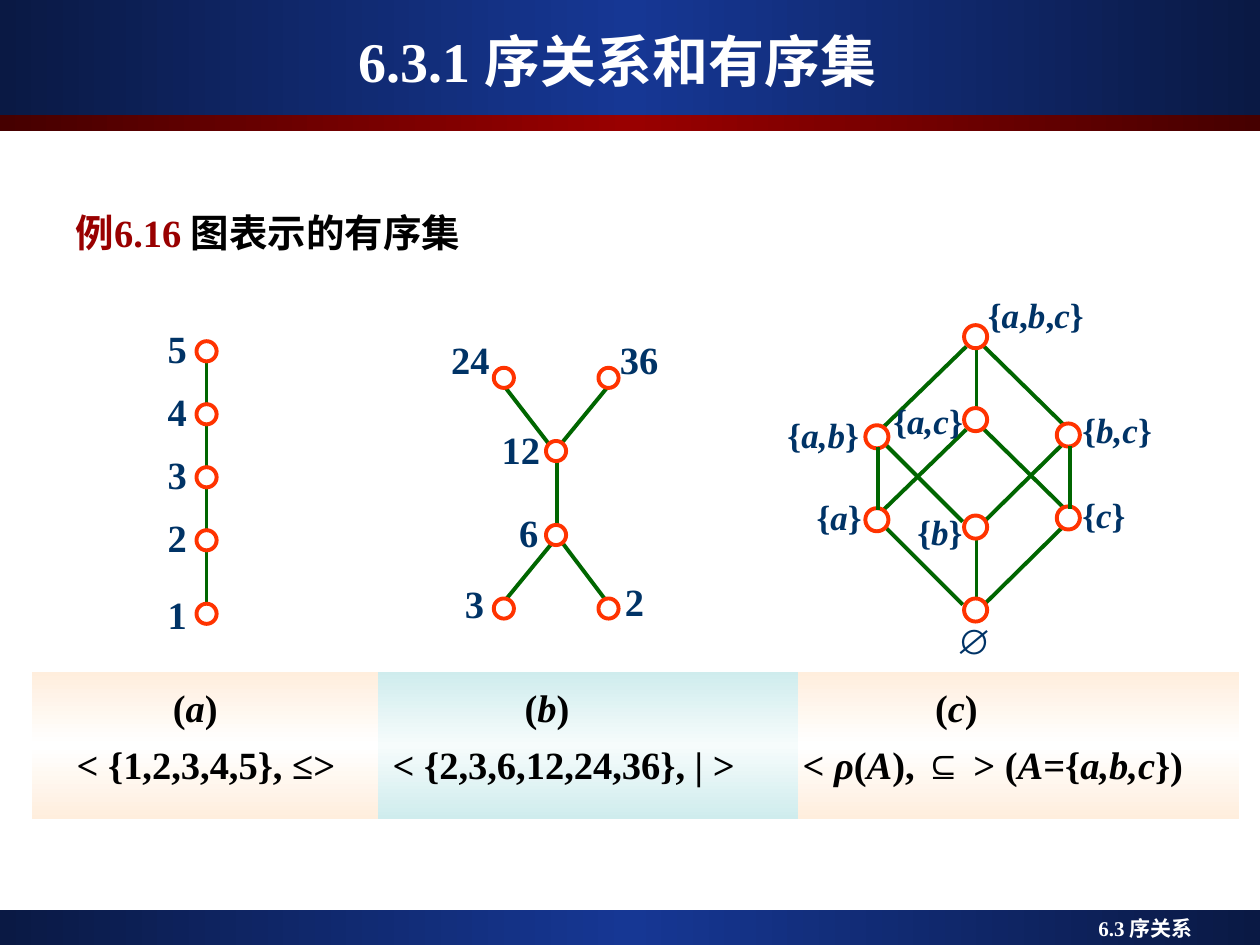
from copy import deepcopy

from lxml import etree
from pptx import Presentation
from pptx.dml.color import RGBColor
from pptx.enum.shapes import MSO_CONNECTOR, MSO_SHAPE
from pptx.enum.text import MSO_ANCHOR, MSO_AUTO_SIZE, PP_ALIGN
from pptx.oxml.ns import qn
from pptx.util import Pt

STRAIGHT = MSO_CONNECTOR.STRAIGHT
RECTANGLE, OVAL = MSO_SHAPE.RECTANGLE, MSO_SHAPE.OVAL
TOP, MIDDLE = MSO_ANCHOR.TOP, MSO_ANCHOR.MIDDLE
LEFT, CENTER = PP_ALIGN.LEFT, PP_ALIGN.CENTER
NO_AUTOFIT = MSO_AUTO_SIZE.NONE
SERIF, SANS = "Times New Roman", "Arial"
BLACK, WHITE, RED, NAVY = "000000", "FFFFFF", "990000", "003366"
GREEN, ORANGE = "006600", "FF3300"
BLUE_BAND = ("0A1944", "163794", "0A1944")
RED_BAND = ("460000", "990000", "460000")
PEACH = ("FFEEDD", "FFFFFF", "FFEEDD")
AQUA = ("CFECED", "F6FCFC", "CFECED")


def rgb(value):
    return RGBColor.from_string(value)


class HasseSlide:
    def __init__(self, presentation):
        self.slide = presentation.slides.add_slide(presentation.slide_layouts[1])
        self.shapes = self.slide.shapes
        self.title = self.shapes.title
        self.body = self.slide.placeholders[1]

    def band(self, left, top, width, height, colors, angle):
        band = self.shapes.add_shape(RECTANGLE, Pt(left), Pt(top), Pt(width), Pt(height))
        band.shadow.inherit = False
        band.line.fill.background()
        band.fill.gradient()
        band.fill.gradient_angle = angle
        stops = band.element.find(".//" + qn("a:gsLst"))
        stops.append(deepcopy(stops[-1]))
        for stop, position, color in zip(band.fill.gradient_stops, (0, 0.5, 1), colors):
            stop.position = position
            stop.color.rgb = rgb(color)
        band.element.getparent().insert(2, band.element)

    def edge(self, x1, y1, x2, y2):
        edge = self.shapes.add_connector(STRAIGHT, Pt(x1), Pt(y1), Pt(x2), Pt(y2))
        edge.line.color.rgb = rgb(GREEN)
        edge.line.width = Pt(2.25)
        etree.SubElement(edge.element.spPr, qn("a:effectLst"))

    def node(self, left, top, size=11.5):
        node = self.shapes.add_shape(OVAL, Pt(left), Pt(top), Pt(size), Pt(size))
        node.shadow.inherit = False
        node.fill.solid()
        node.fill.fore_color.rgb = rgb(WHITE)
        node.line.color.rgb = rgb(ORANGE)
        node.line.width = Pt(2.25)

    def frame(self, shape, inset=(7.2, 3.6), anchor=TOP):
        frame = shape.text_frame
        frame.word_wrap = True
        frame.auto_size = NO_AUTOFIT
        frame.vertical_anchor = anchor
        frame.margin_left = frame.margin_right = Pt(inset[0])
        frame.margin_top = frame.margin_bottom = Pt(inset[1])
        return frame

    def place(self, shape, left, top, width, height, anchor=TOP):
        shape.left, shape.top = Pt(left), Pt(top)
        shape.width, shape.height = Pt(width), Pt(height)
        return self.frame(shape, anchor=anchor)

    def text_box(self, left, top, width, height, inset=(7.2, 3.6)):
        box = self.shapes.add_textbox(Pt(left), Pt(top), Pt(width), Pt(height))
        return self.frame(box, inset)

    def run(self, paragraph, text, size, color, italic=False, font=SERIF):
        run = paragraph.add_run()
        run.text = text
        run.font.size = Pt(size)
        run.font.name = font
        run.font.bold = True
        run.font.italic = italic
        run.font.color.rgb = rgb(color)

    def alternating(self, paragraph, parts, size, color):
        for index, part in enumerate(parts):
            self.run(paragraph, part, size, color, index % 2 == 1,
                     SANS if part[0] in "∅⊆" else SERIF)

    def label(self, left, top, *parts, size=22):
        width = 14 + 10 * len("".join(parts))
        frame = self.text_box(left, top, width, 1.2 * size, (0, 0))
        self.alternating(frame.paragraphs[0], parts, size, NAVY)

    def tab_stops(self, paragraph, positions):
        tabs = etree.SubElement(paragraph._p.get_or_add_pPr(), qn("a:tabLst"))
        for position in positions:
            etree.SubElement(tabs, qn("a:tab"), pos=str(Pt(position)), algn="l")


def draw_headings(page):
    page.band(0, 0, 720, 65.5, BLUE_BAND, 0)
    page.band(0, 65.5, 720, 9.5, RED_BAND, 0)
    page.band(0, 519.8, 720, 20.2, BLUE_BAND, 0)

    heading = page.place(page.title, 19.8, 12, 666, 45, MIDDLE).paragraphs[0]
    heading.alignment = CENTER
    page.run(heading, "6.3.1 序关系和有序集", 32, WHITE)

    example = page.place(page.body, 36, 108, 672, 60).paragraphs[0]
    properties = example._p.get_or_add_pPr()
    properties.set("marL", str(Pt(27)))
    properties.set("indent", str(Pt(-27)))
    etree.SubElement(properties, qn("a:buNone"))
    example.alignment = LEFT
    example.line_spacing = 1.3
    example.space_before = Pt(0)
    page.run(example, "例6.16 ", 22, RED)
    page.run(example, "图表示的有序集", 22, BLACK)

    section = page.text_box(620.6, 519.8, 99.4, 20.2).paragraphs[0]
    page.run(section, "6.3 序关系", 12, WHITE)


def draw_chain(page):
    page.edge(118, 352, 118, 202)
    for number, top in zip("54321", (195, 231, 267, 303, 345)):
        page.node(112.3, top)
        page.label(95.8, top - (7.3 if number == "1" else 9.3), number)


def draw_divisors(page):
    for ends in ((286.6, 345.6, 316.1, 309.6), (318.2, 306, 349.2, 347),
                 (285.1, 216.7, 316.8, 257.8), (319, 255.6, 348.5, 219.6),
                 (318.2, 300.2, 318.2, 264.2)):
        page.edge(*ends)
    for number, left, top, label_left, label_top in (
            ("24", 282.2, 210.2, 257.8, 192.2), ("36", 342, 210.2, 354.2, 192.2),
            ("12", 312, 252, 286.6, 243.4), ("6", 312, 300, 296.6, 290.9),
            ("3", 282.2, 342, 265.7, 331.2), ("2", 342, 342, 357.1, 330.5)):
        page.node(left, top)
        page.label(label_left, label_top, number)


def draw_power_set(page):
    drops = (0, 47.4)
    for drop in drops:
        for x1, y1, x2, y2 in ((504, 244.8, 552.2, 198), (504.7, 252.7, 550.1, 298.1),
                               (561.6, 197.3, 607.7, 242.6), (561.6, 298.8, 609.8, 251.3)):
            page.edge(x1, y1 + drop, x2, y2 + drop)
    for x, y in ((558, 199.4), (558, 307.4)):
        page.edge(x, y, x, y + 36)
    for drop in drops:
        for left, top in ((550.9, 185.8), (550.9, 294.6), (494.5, 243), (603.9, 242)):
            page.node(left, top + drop, 13.2)
    for x, y in ((501.8, 255.6), (611.3, 254.9)):
        page.edge(x, y, x, y + 36)
    for left, top, parts in (
            (564.5, 167.8, ("{", "a", ",", "b", ",", "c", "}")),
            (450, 236.2, ("{", "a,b", "}")), (510.5, 228.2, ("{", "a,c", "}")),
            (618.5, 233.3, ("{", "b,c", "}")), (466.6, 283, ("{", "a", "}")),
            (524.2, 291.6, ("{", "b", "}")), (618.5, 282.2, ("{", "c", "}")),
            (546.5, 354.2, ("∅",))):
        page.label(left, top, *parts, size=20)


def draw_captions(page):
    for left, width, colors in ((18, 198, PEACH), (216, 240, AQUA), (456, 252, PEACH)):
        page.band(left, 383.8, width, 84.2, colors, 90)
    captions = page.text_box(36.7, 394.6, 683.3, 58.3)
    lines = (
        ((55, 256, 490.5), ("\t(", "a", ")\t(", "b", ")\t(", "c", ")")),
        ((180.6, 414.8), ("< {1,2,3,4,5}, ≤>\t< {2,3,6,12,24,36}, | >\t< ",
                          "ρ", "(", "A", "), ")),
    )
    for index, (stops, parts) in enumerate(lines):
        line = captions.paragraphs[0] if index == 0 else captions.add_paragraph()
        page.tab_stops(line, stops)
        line.line_spacing = 0.7
        line.space_before = Pt(13.8 * index)
        page.alternating(line, parts, 22, BLACK)
    page.run(line, "⊆ ", 22, BLACK, font=SANS)
    page.alternating(line, ("> (", "A", "={", "a,b,c", "})"), 22, BLACK)


def main():
    presentation = Presentation()
    presentation.slide_width, presentation.slide_height = Pt(720), Pt(540)
    page = HasseSlide(presentation)
    draw_headings(page)
    draw_chain(page)
    draw_divisors(page)
    draw_power_set(page)
    draw_captions(page)
    presentation.save("out.pptx")


if __name__ == "__main__":
    main()
